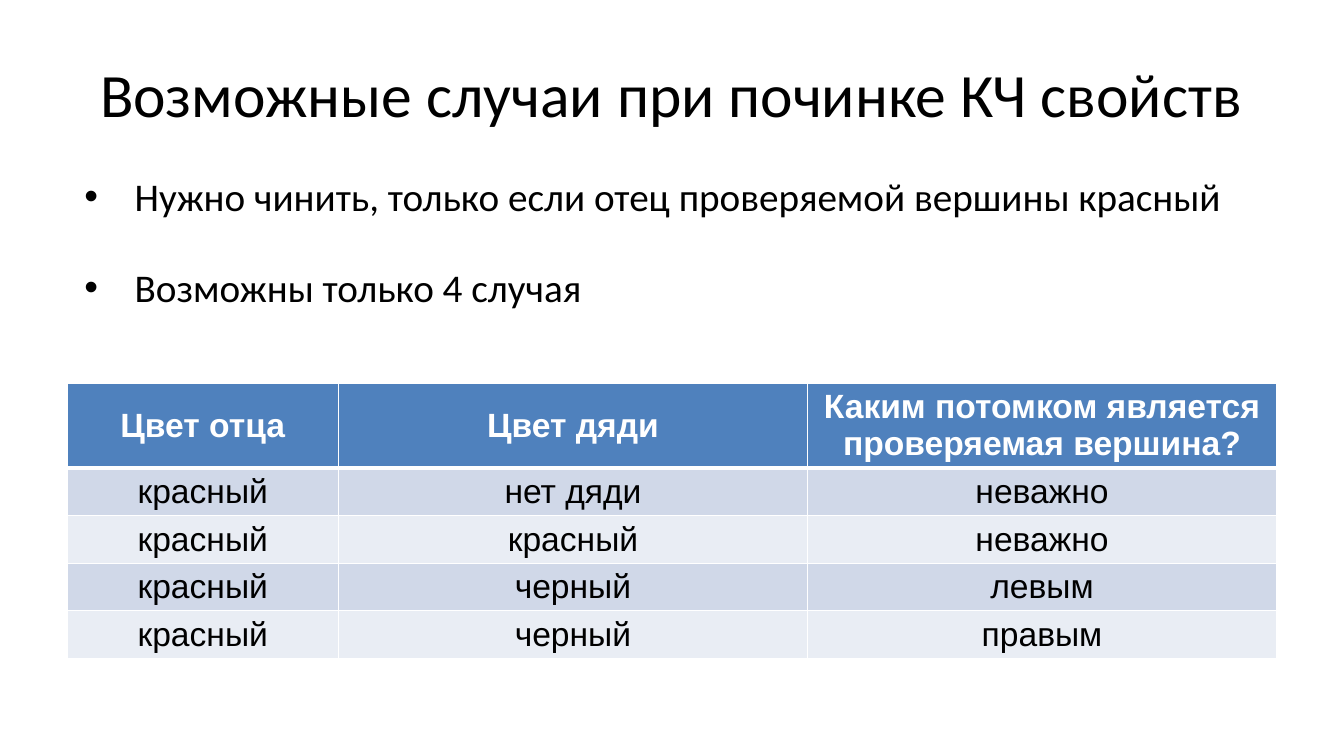
from lxml.etree import SubElement
from pptx import Presentation
from pptx.dml.color import RGBColor
from pptx.enum.text import MSO_ANCHOR, MSO_AUTO_SIZE, PP_ALIGN
from pptx.oxml.ns import qn
from pptx.util import Cm, Pt

BLACK = RGBColor(0x00, 0x00, 0x00)
WHITE = RGBColor(0xFF, 0xFF, 0xFF)
HEADER_BLUE = RGBColor(0x4F, 0x81, 0xBD)
BAND_DARK = RGBColor(0xD0, 0xD8, 0xE8)
BAND_LIGHT = RGBColor(0xE9, 0xED, 0xF4)

LEFT, WIDTH = Cm(1.69), Cm(30.48)
POINTS = [
    "Нужно чинить, только если отец проверяемой вершины красный",
    "Возможны только 4 случая",
]
CASES = [
    ("Цвет отца", "Цвет дяди", "Каким потомком является проверяемая вершина?"),
    ("красный", "нет дяди", "неважно"),
    ("красный", "красный", "неважно"),
    ("красный", "черный", "левым"),
    ("красный", "черный", "правым"),
]


def style_runs(paragraph, font_name, size, color, bold=False):
    for run in paragraph.runs:
        run.font.name = font_name
        run.font.size = Pt(size)
        run.font.color.rgb = color
        run.font.bold = bold


def add_border(cell, side, width):
    """Draw a white line on one side of a cell: L, R, T or B."""
    line = SubElement(cell._tc.get_or_add_tcPr(), qn(f"a:ln{side}"), w=str(Pt(width)))
    fill = SubElement(line, qn("a:solidFill"))
    SubElement(fill, qn("a:srgbClr"), val=str(WHITE))


prs = Presentation()
prs.slide_width, prs.slide_height = Cm(33.87), Cm(19.05)
slide = prs.slides.add_slide(prs.slide_layouts[1])

# Title
title = slide.shapes.title
title.left, title.top, title.width, title.height = LEFT, Cm(0.76), WIDTH, Cm(3.18)
title.text_frame.text = "Возможные случаи при починке КЧ свойств"
title.text_frame.vertical_anchor = MSO_ANCHOR.MIDDLE
title.text_frame.auto_size = MSO_AUTO_SIZE.NONE
heading = title.text_frame.paragraphs[0]
heading.alignment = PP_ALIGN.CENTER
style_runs(heading, "Calibri", 44, BLACK)

# Bullet list
body = slide.placeholders[1]
body.left, body.top, body.width, body.height = LEFT, Cm(4.45), WIDTH, Cm(12.57)
body.text_frame.text = "\n".join(POINTS)
body.text_frame.auto_size = MSO_AUTO_SIZE.NONE
for index, point in enumerate(body.text_frame.paragraphs):
    properties = point._p.get_or_add_pPr()
    properties.set("marL", str(Cm(1.45)))
    properties.set("indent", str(Cm(-1.27)))
    SubElement(properties, qn("a:buFont"), typeface="Arial")
    SubElement(properties, qn("a:buChar"), char="•")
    point.line_spacing = 0.8
    point.space_before = Pt(38 if index else 0)
    style_runs(point, "Calibri", 28, BLACK)

# Table of cases
table = slide.shapes.add_table(
    len(CASES), len(CASES[0]), LEFT, Cm(9.65), WIDTH, Cm(6.94)
).table
for column, column_width in zip(table.columns, (6.84, 11.82, 11.82)):
    column.width = Cm(column_width)

for row_index, case in enumerate(CASES):
    is_header = row_index == 0
    table.rows[row_index].height = Cm(2.12 if is_header else 1.2)
    band = BAND_DARK if row_index % 2 else BAND_LIGHT
    for column_index, value in enumerate(case):
        cell = table.cell(row_index, column_index)
        cell.text_frame.text = value
        cell.vertical_anchor = MSO_ANCHOR.MIDDLE if is_header else MSO_ANCHOR.TOP
        label = cell.text_frame.paragraphs[0]
        label.alignment = PP_ALIGN.CENTER
        style_runs(label, "Arial", 24, WHITE if is_header else BLACK, is_header)
        add_border(cell, "L", 1)
        add_border(cell, "R", 1)
        add_border(cell, "T", 3 if row_index == 1 else 1)
        add_border(cell, "B", 3 if is_header else 1)
        cell.fill.solid()
        cell.fill.fore_color.rgb = HEADER_BLUE if is_header else band

prs.save("out.pptx")
